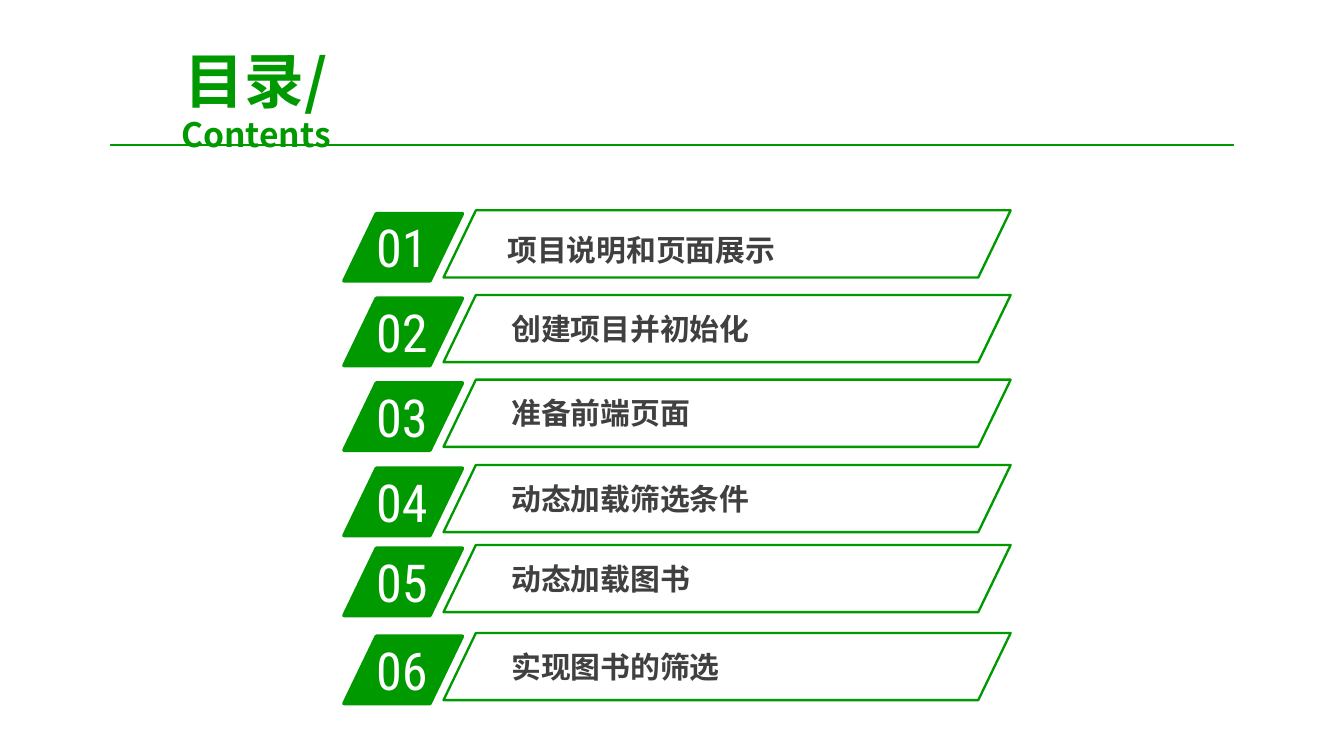
import dataclasses

import pptx
import pptx.dml.color
import pptx.enum.shapes
import pptx.enum.text
import pptx.oxml
import pptx.oxml.ns
import pptx.util

Pt = pptx.util.Pt
Shape = pptx.enum.shapes.MSO_SHAPE
Align = pptx.enum.text.PP_ALIGN
Anchor = pptx.enum.text.MSO_ANCHOR


@dataclasses.dataclass(frozen=True)
class Theme:
    green: str = "009900"
    white: str = "FFFFFF"
    ink: str = "404040"
    heading_font: str = "Noto Sans CJK SC"
    number_font: str = "Roboto Condensed"
    title_size: float = 32
    subtitle_size: float = 18
    number_size: float = 28
    label_size: float = 16
    slant: float = 0.482


class Page:
    """A slide on a grid of 100 columns by 56.25 rows of square cells."""

    CELL = pptx.util.Inches(0.1)
    COLUMNS, ROWS = 100, 56.25

    def __init__(self, deck, theme):
        deck.slide_width = self.grid(self.COLUMNS)
        deck.slide_height = self.grid(self.ROWS)
        self.theme = theme
        self.shapes = deck.slides.add_slide(deck.slide_layouts[6]).shapes

    def grid(self, cells):
        return round(cells * self.CELL)

    def color(self, value):
        return pptx.dml.color.RGBColor.from_string(value)

    def style(self, para, size, font, color, bold):
        for span in para.runs:
            span.font.size = Pt(size)
            span.font.name = font
            span.font.bold = bold
            span.font.color.rgb = self.color(color)
            east_asian = pptx.oxml.parse_xml(
                f'<a:ea {pptx.oxml.ns.nsdecls("a")} typeface="{font}"/>')
            span.font._element.append(east_asian)

    def text(self, area, words, size, font, color, bold=False, inset=(1, 0.5)):
        box = self.shapes.add_textbox(*map(self.grid, area))
        frame = box.text_frame
        frame.word_wrap = True
        frame.margin_left = frame.margin_right = self.grid(inset[0])
        frame.margin_top = frame.margin_bottom = self.grid(inset[1])
        frame.text = words
        self.style(frame.paragraphs[0], size, font, color, bold)
        return frame

    def title(self, area, heading, subtitle):
        theme = self.theme
        frame = self.text(area, heading, theme.title_size,
                          theme.heading_font, theme.green, bold=True)
        frame.vertical_anchor = Anchor.MIDDLE
        para = frame.add_paragraph()
        para.text = subtitle
        self.style(para, theme.subtitle_size, theme.heading_font, theme.green, True)
        for para, leading in zip(frame.paragraphs, (38, 21)):
            para.alignment = Align.CENTER
            para.line_spacing = Pt(leading)

    def rule(self, left, right, top):
        line = self.shapes.add_connector(
            pptx.enum.shapes.MSO_CONNECTOR.STRAIGHT,
            *map(self.grid, (left, top, right, top)))
        line.line.color.rgb = self.color(self.theme.green)
        line.line.width = Pt(0.75)
        line._element.spPr.append(pptx.oxml.parse_xml(
            f'<a:effectLst {pptx.oxml.ns.nsdecls("a")}/>'))

    def parallelogram(self, area, line_width, filled):
        shape = self.shapes.add_shape(Shape.PARALLELOGRAM, *map(self.grid, area))
        shape.adjustments[0] = self.theme.slant
        shape.shadow.inherit = False
        shape.line.color.rgb = self.color(self.theme.green)
        shape.line.width = Pt(line_width)
        if filled:
            shape.fill.solid()
            shape.fill.fore_color.rgb = self.color(self.theme.green)
        else:
            shape.fill.background()

    def entry(self, number, top, label, label_left=37.3, label_drop=0.5):
        """Draw a numbered badge beside its outlined label."""
        theme = self.theme
        self.parallelogram((25.6, top, 8.8, 5), 2, filled=True)
        self.text((27, top - 0.35, 8.4, 5.7), f"{number:02d}",
                  theme.number_size, theme.number_font, theme.white)
        self.text((label_left, top + label_drop, 33.7, 3.5), label,
                  theme.label_size, theme.heading_font, theme.ink,
                  bold=True, inset=(0.75, 0.4))
        self.parallelogram((33, top - 0.25, 42.2, 5), 1.25, filled=False)


ENTRIES = [
    (15.9, "项目说明和页面展示", {"label_left": 37, "label_drop": 0.95}),
    (22.2, "创建项目并初始化", {}),
    (28.5, "准备前端页面", {}),
    (34.85, "动态加载筛选条件", {}),
    (40.8, "动态加载图书", {}),
    (47.35, "实现图书的筛选", {}),
]


def main():
    deck = pptx.Presentation()
    page = Page(deck, Theme())
    page.title((6.7, 4.7, 24.7, 5.4), "目录/", "Contents")
    page.rule(8.2, 91.8, 10.8)
    for number, (top, label, placing) in enumerate(ENTRIES, start=1):
        page.entry(number, top, label, **placing)
    deck.save("out.pptx")


if __name__ == "__main__":
    main()
